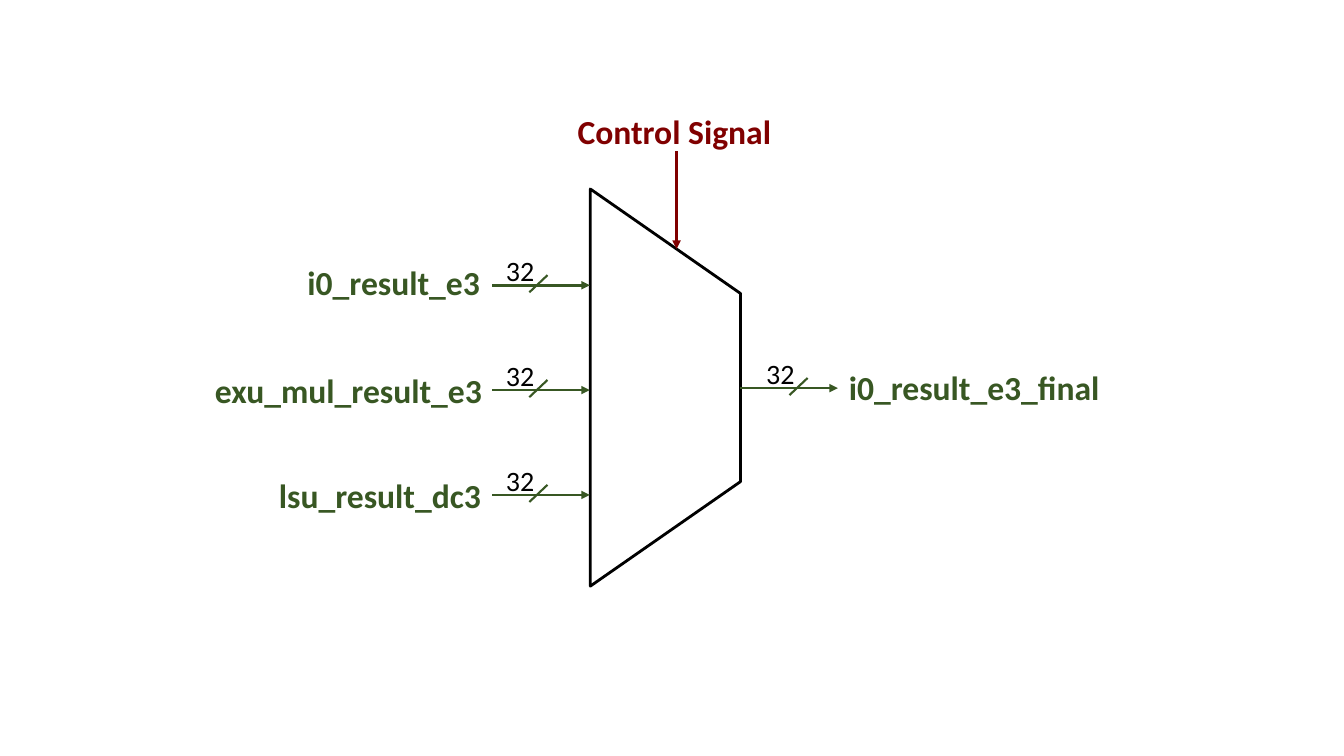
from lxml.etree import SubElement
from pptx import Presentation
from pptx.dml.color import RGBColor
from pptx.enum.shapes import MSO_CONNECTOR, MSO_SHAPE
from pptx.enum.text import MSO_ANCHOR, PP_ALIGN
from pptx.oxml.ns import qn
from pptx.util import Inches, Pt

# Content
GREEN, RED, BLACK = "385723", "800000", "000000"
FONT = "Calibri"
BUS_WIDTH = "32"
CONTROL = "Control Signal"
# name, label left, label top, label width
INPUTS = [
    ("i0_result_e3", 2.93, 2.55, 1.93),
    ("exu_mul_result_e3", 2.0, 3.62, 2.88),
    ("lsu_result_dc3", 2.64, 4.66, 2.23),
]
OUTPUT = ("i0_result_e3_final", 8.32, 3.59, 2.72)

# Layout
INPUT_LEFT, FIRST_INPUT, INPUT_STEP = 4.88, 2.83, 1.04
OUTPUT_LEFT, OUTPUT_Y = 7.34, 3.85
WIRE_LENGTH = 0.97
LABEL_HEIGHT = 0.5

deck = Presentation()
deck.slide_width, deck.slide_height = Inches(13.33), Inches(7.5)
page = deck.slides.add_slide(deck.slide_layouts[6])


def color(value):
    return RGBColor.from_string(value)


def add_text(text, left, top, width, height, size=24, ink=GREEN, bold=True,
             align=PP_ALIGN.LEFT):
    box = page.shapes.add_textbox(
        Inches(left), Inches(top), Inches(width), Inches(height))
    frame = box.text_frame
    frame.word_wrap = False
    frame.vertical_anchor = MSO_ANCHOR.TOP
    para = frame.paragraphs[0]
    para.alignment = align
    span = para.add_run()
    span.text = text
    span.font.name, span.font.size, span.font.bold = FONT, Pt(size), bold
    span.font.color.rgb = color(ink)


def add_line(x1, y1, x2, y2, ink=GREEN, weight=2, arrow=False):
    line = page.shapes.add_connector(
        MSO_CONNECTOR.STRAIGHT, Inches(x1), Inches(y1), Inches(x2), Inches(y2))
    line.line.color.rgb = color(ink)
    line.line.width = Pt(weight)
    if arrow:
        SubElement(line.line._get_or_add_ln(), qn("a:tailEnd"), type="triangle")
    SubElement(line._element.spPr, qn("a:effectLst"))


def add_bus(left, y, mark_shift=0):
    """Arrow with a slash and the bus width above it."""
    add_line(left, y, left + WIRE_LENGTH, y, arrow=True)
    mark = left + mark_shift
    add_line(mark + 0.37, y + 0.07, mark + 0.55, y - 0.1, weight=1.5)
    add_text(BUS_WIDTH, mark + 0.04, y - 0.36, 0.48, 0.44,
             size=20, ink=BLACK, bold=False)


# Multiplexer body, turned so that its short side faces right
body = page.shapes.add_shape(
    MSO_SHAPE.TRAPEZOID, Inches(4.63), Inches(3.1), Inches(3.94), Inches(1.49))
body.rotation = 90
body.adjustments[0] = 0.696
body.shadow.inherit = False
body.fill.background()
body.line.color.rgb = color(BLACK)
body.line.width = Pt(2)

# Control signal
add_text(CONTROL, 5.63, 1.05, 2.14, LABEL_HEIGHT, ink=RED)
add_line(6.71, 1.5, 6.71, 2.47, ink=RED, arrow=True)

# Inputs
for index, (name, left, top, width) in enumerate(INPUTS):
    add_text(name, left, top, width, LABEL_HEIGHT, align=PP_ALIGN.RIGHT)
    add_bus(INPUT_LEFT, FIRST_INPUT + index * INPUT_STEP)

# Output
add_bus(OUTPUT_LEFT, OUTPUT_Y, mark_shift=0.12)
add_text(*OUTPUT, LABEL_HEIGHT)

deck.save("out.pptx")
